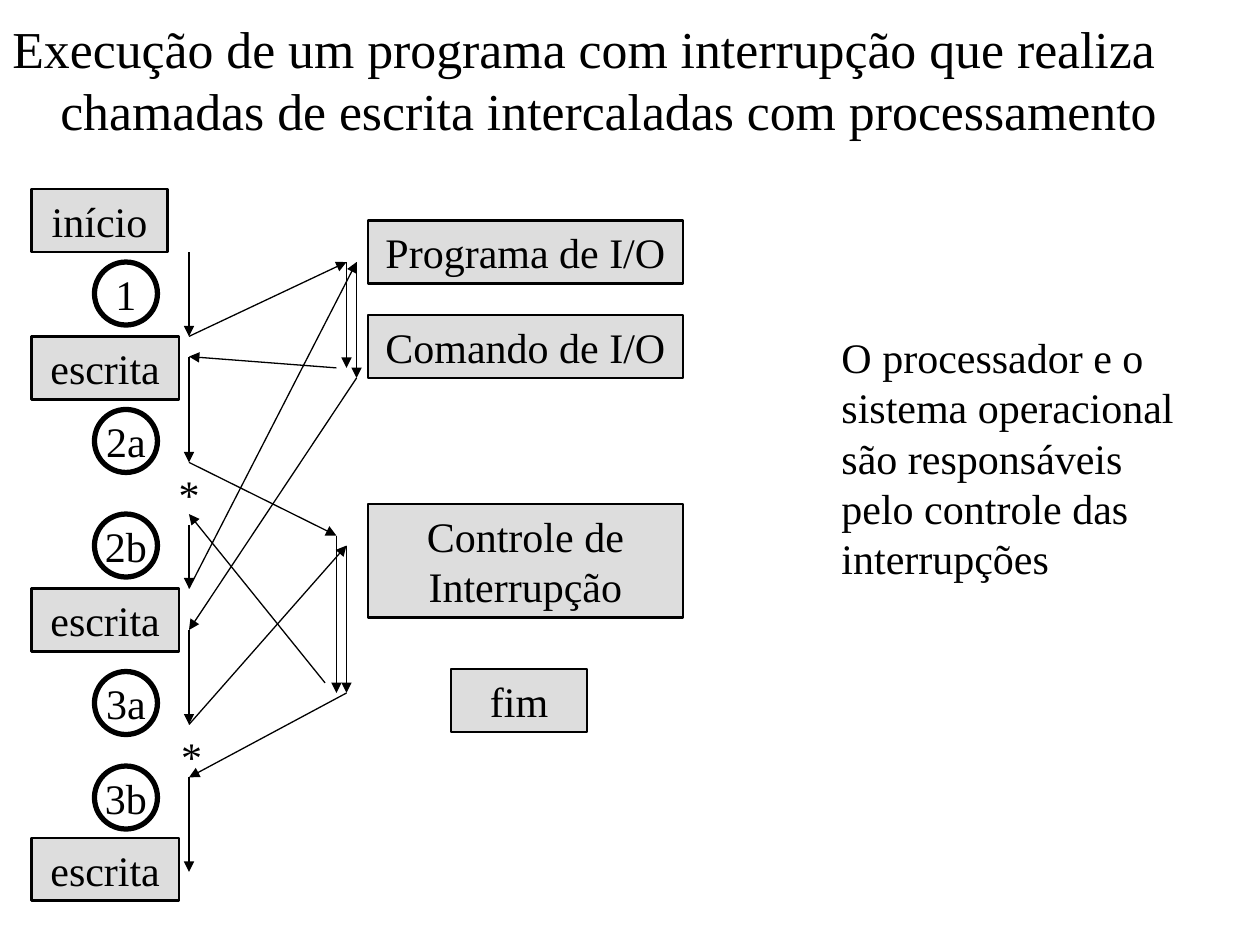
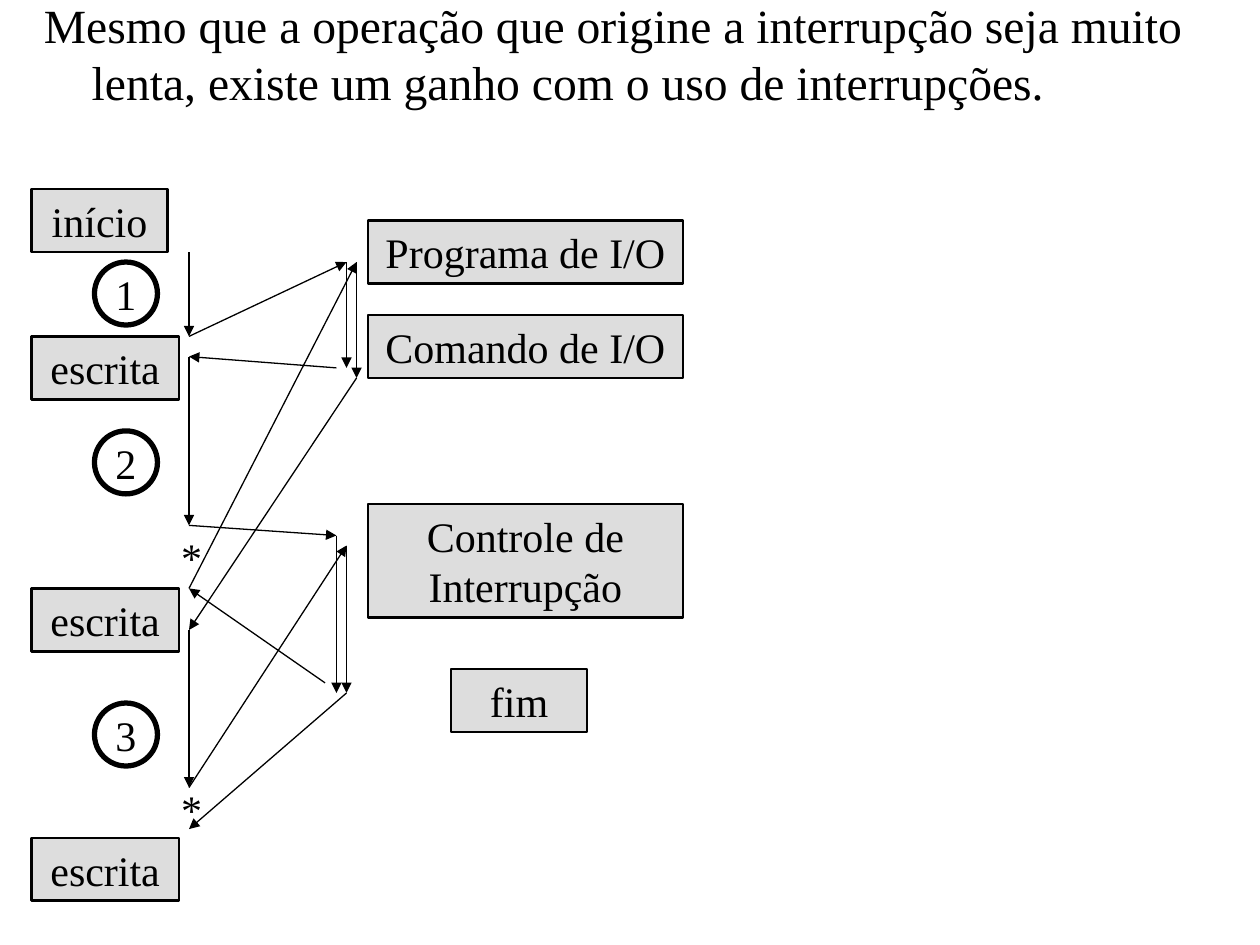
from lxml import etree
from pptx import Presentation
from pptx.dml.color import RGBColor
from pptx.enum.shapes import MSO_CONNECTOR as Connector, MSO_SHAPE as Shape
from pptx.enum.text import MSO_ANCHOR as Anchor, MSO_AUTO_SIZE as AutoSize, PP_ALIGN as Align
from pptx.oxml.ns import qn
from pptx.util import Inches, Pt

BLACK, GREY = "000000", "DDDDDD"
FONT = "Times New Roman"
BODY_SIZE = 24
MAIN, IO_FIRST, IO_SECOND = 1.5, 2.75, 2.83
HANDLER_FIRST, HANDLER_EXIT, HANDLER_SECOND = 2.67, 2.58, 2.75
IO_TOP, IO_FIRST_END, IO_SECOND_END = 2.08, 2.92, 3
WRITES = (2.67, 4.67, 6.65)


def color(value):
    """Turn a hex string into a colour."""
    return RGBColor.from_string(value)


def write(frame, text, size=BODY_SIZE, align=Align.LEFT, anchor=Anchor.TOP,
          wrap=True, grow=True, hanging=0):
    """Put one formatted paragraph into a text frame."""
    frame.word_wrap = wrap
    frame.auto_size = AutoSize.SHAPE_TO_FIT_TEXT if grow else AutoSize.NONE
    frame.vertical_anchor = anchor
    para = frame.paragraphs[0]
    para.alignment = align
    if hanging:
        properties = para._p.get_or_add_pPr()
        properties.set("marL", str(Inches(hanging)))
        properties.set("indent", str(-Inches(hanging)))
    span = para.add_run()
    span.text = text
    span.font.name = FONT
    span.font.size = Pt(size)
    span.font.color.rgb = color(BLACK)


class Diagram:
    """Hold the deck style and draw on the current page."""

    def __init__(self, deck):
        """Start with a deck."""
        self.deck = deck

    def new_page(self):
        """Add a blank page."""
        self.page = self.deck.slides.add_slide(self.deck.slide_layouts[6])

    def label(self, text, left, top, width, height, **style):
        """Add plain text."""
        box = self.page.shapes.add_textbox(*map(Inches, (left, top, width, height)))
        write(box.text_frame, text, **style)

    def title(self, text, left, top, width, height, size):
        """Add the heading with its hanging indent."""
        self.label(text, left, top, width, height, size=size, grow=False, hanging=0.38)

    def outlined(self, kind, left, top, width, height, line_width):
        """Add an outlined preset shape."""
        box = self.page.shapes.add_shape(kind, *map(Inches, (left, top, width, height)))
        box.shadow.inherit = False
        box.line.color.rgb = color(BLACK)
        box.line.width = Pt(line_width)
        return box

    def block(self, text, left, top, width, height=0.5):
        """Add a grey program block."""
        box = self.outlined(Shape.RECTANGLE, left, top, width, height, 1.5)
        box.fill.solid()
        box.fill.fore_color.rgb = color(GREY)
        write(box.text_frame, text, align=Align.CENTER)

    def step(self, text, top):
        """Add a numbered circle."""
        circle = self.outlined(Shape.OVAL, 0.75, top, 0.5, 0.5, 3)
        circle.fill.background()
        write(circle.text_frame, text, align=Align.CENTER, anchor=Anchor.MIDDLE,
              wrap=False, grow=False)

    def star(self, left, top):
        """Mark an interrupted point."""
        self.label("*", left, top, 0.36, 0.5, wrap=False)

    def arrows(self, *points):
        """Join successive points with arrows."""
        for start, end in zip(points, points[1:]):
            arrow = self.page.shapes.add_connector(
                Connector.STRAIGHT, *map(Inches, start + end))
            arrow.line.color.rgb = color(BLACK)
            arrow.line.width = Pt(0.75)
            etree.SubElement(arrow.line._get_or_add_ln(), qn("a:tailEnd"), type="triangle")
            etree.SubElement(arrow._element.spPr, qn("a:effectLst"))

    def program(self, steps, stars, interrupts, returns):
        """Draw the program, its I/O calls and its interrupts."""
        self.block("início", 0.25, 1.5, 1.08)
        for top in WRITES:
            self.block("escrita", 0.25, top, 1.17)
        self.block("Programa de I/O", 2.92, 1.75, 2.5)
        self.block("Comando de I/O", 2.92, 2.5, 2.5)
        self.block("Controle de Interrupção", 2.92, 4, 2.5, 0.9)
        self.block("fim", 3.58, 5.31, 1.08)
        for text, top in steps.items():
            self.step(text, top)
        for left, top in stars:
            self.star(left, top)
        self.arrows((MAIN, 2), (MAIN, 2.67), (IO_FIRST, IO_TOP), (IO_FIRST, IO_FIRST_END))
        self.arrows((2.67, IO_FIRST_END), (MAIN, 2.83), (MAIN, interrupts[0]),
                    (HANDLER_FIRST, 4.25), (HANDLER_FIRST, 5.5))
        self.arrows((HANDLER_EXIT, 5.42), (MAIN, returns[0]))
        self.arrows((MAIN, 4.67), (IO_SECOND, IO_TOP), (IO_SECOND, IO_SECOND_END),
                    (MAIN, 5), (MAIN, interrupts[1]), (HANDLER_SECOND, 4.33),
                    (HANDLER_SECOND, 5.5), (MAIN, returns[1]))


def main():
    """Build the two pages."""
    deck = Presentation()
    deck.slide_width, deck.slide_height = Inches(10), Inches(7.5)
    diagram = Diagram(deck)

    diagram.new_page()
    diagram.title("Execução de um programa com interrupção que realiza chamadas de escrita "
                  "intercaladas com processamento", 0, 0.08, 10.42, 1.17, 29.6)
    diagram.program({"1": 2.08, "2a": 3.25, "2b": 4.08, "3a": 5.33, "3b": 6.08},
                    stars=((1.32, 3.67), (1.34, 5.75)),
                    interrupts=(3.67, 5.75), returns=(4.08, 6.17))
    diagram.arrows((MAIN, 4.17), (MAIN, 4.67))
    diagram.arrows((MAIN, 6.17), (MAIN, 6.92))
    diagram.label("O processador e o sistema operacional são responsáveis pelo controle "
                  "das interrupções", 6.58, 2.58, 2.89, 2.1)

    diagram.new_page()
    diagram.title("Mesmo que a operação que origine a interrupção seja muito lenta, existe "
                  "um ganho com o uso de interrupções.", 0.25, -0.08, 9.67, 1.5, 27.2)
    diagram.program({"1": 2.08, "2": 3.42, "3": 5.58},
                    stars=((1.34, 4.17), (1.34, 6.17)),
                    interrupts=(4.17, 6.25), returns=(4.67, 6.58))
    deck.save("out.pptx")


if __name__ == "__main__":
    main()
